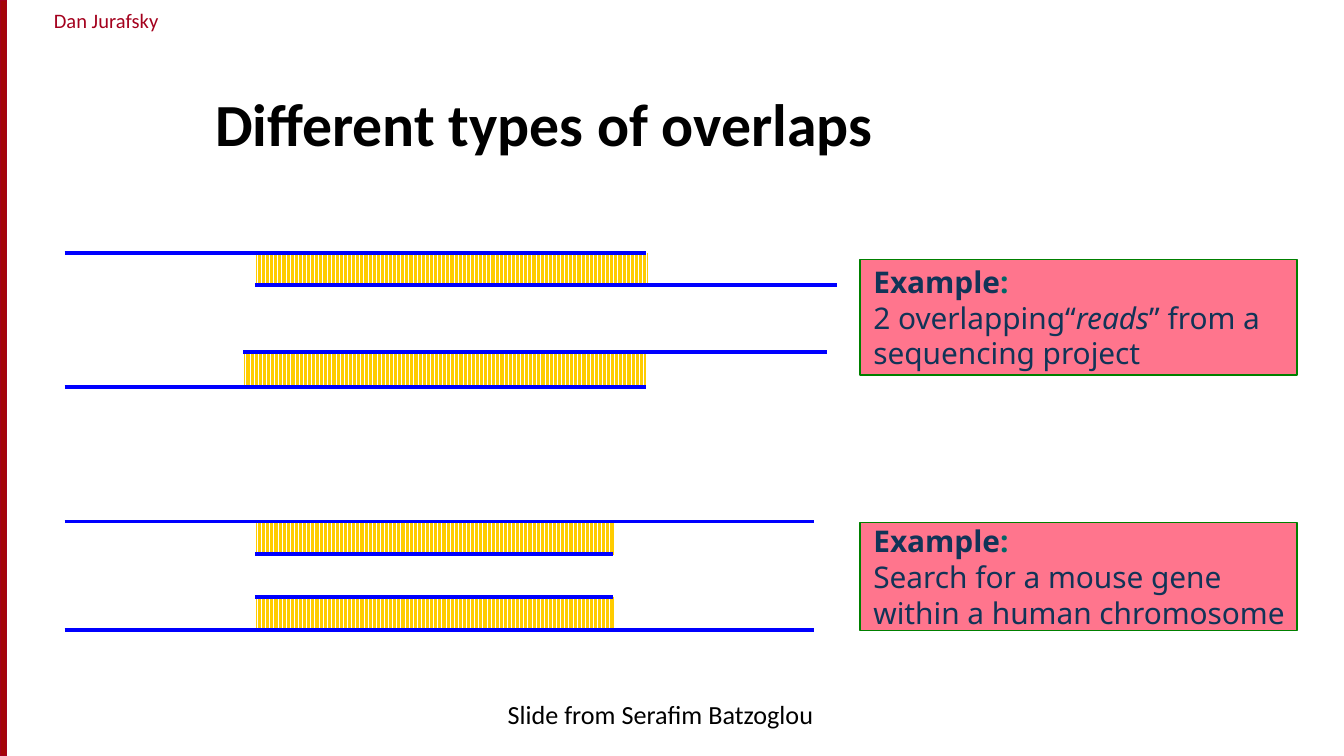
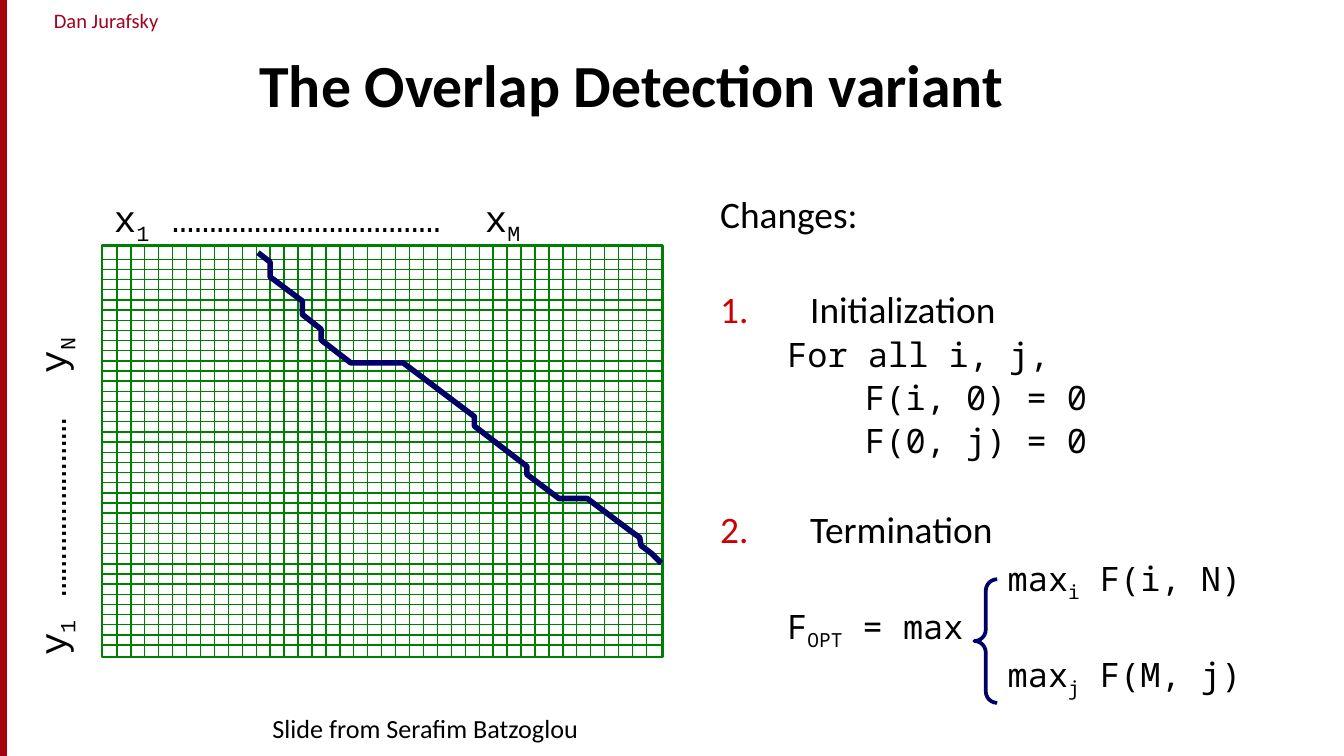
from dataclasses import dataclass
from typing import NamedTuple, Optional

from pptx import Presentation
from pptx import util as u
from pptx.dml.color import RGBColor
from pptx.enum import dml, shapes, text
from pptx.oxml.ns import qn
from lxml import etree

BLACK = RGBColor(0x00, 0x00, 0x00)
WHITE = RGBColor(0xFF, 0xFF, 0xFF)
CARDINAL = RGBColor(0xA4, 0x00, 0x1D)
BAND_RED = RGBColor(0xA4, 0x05, 0x08)
NUMBER_RED = RGBColor(0xCC, 0x00, 0x00)
GOLD = RGBColor(0xFF, 0xCC, 0x00)
BLUE = RGBColor(0x00, 0x00, 0xFF)
NAVY = RGBColor(0x00, 0x00, 0x66)
GREEN = RGBColor(0x00, 0x80, 0x00)
PINK = RGBColor(0xFF, 0x75, 0x8D)
INK = RGBColor(0x11, 0x34, 0x57)
TEAL = RGBColor(0x00, 0x66, 0x66)

SANS = "Calibri"
MONO = "Noto Sans Mono"
NOTE = "Noto Sans"
COURIER = "Courier New"

SLIDE_WIDTH = u.Inches(10)
SLIDE_HEIGHT = SLIDE_WIDTH * 9 // 16


class Box(NamedTuple):
    left: float
    top: float
    width: float
    height: float

    def lengths(self) -> list:
        return [u.Inches(value) for value in self]


class Run(NamedTuple):
    words: str
    color: RGBColor = BLACK
    bold: bool = False
    italic: bool = False
    subscript: bool = False


class Strand(NamedTuple):
    start: float
    end: float
    y: float


class Overlap(NamedTuple):
    hatch: Box
    upper: Strand
    lower: Strand


class Example(NamedTuple):
    box: Box
    lines: list


class AxisLabel(NamedTuple):
    box: Box
    letter: str
    dots: str
    last: str
    tab: float
    rotation: int


@dataclass
class Line:
    runs: list
    margin: float = 1.08
    indent: float = 0
    before: float = 3.6
    font: str = MONO
    size: int = 18
    number: Optional[int] = None


def sub(words: str) -> Run:
    return Run(words, subscript=True)


OVERLAPS = [
    Overlap(Box(1.9, 1.88, 2.92, 0.25), Strand(0.48, 4.81, 1.88), Strand(1.9, 6.23, 2.12)),
    Overlap(Box(1.81, 2.62, 3, 0.25), Strand(1.81, 6.15, 2.62), Strand(0.48, 4.81, 2.88)),
    Overlap(Box(1.9, 3.88, 2.67, 0.25), Strand(0.48, 6.06, 3.88), Strand(1.9, 4.56, 4.12)),
    Overlap(Box(1.9, 4.44, 2.67, 0.25), Strand(1.9, 4.56, 4.44), Strand(0.48, 6.06, 4.69)),
]

EXAMPLES = [
    Example(Box(6.4, 1.93, 3.25, 0.86), [
        [Run("2 overlapping“", INK), Run("reads", INK, italic=True), Run("” from a", INK)],
        [Run("sequencing project", INK)],
    ]),
    Example(Box(6.4, 3.89, 3.25, 0.8), [
        [Run("Search for a mouse gene", INK)],
        [Run("within a human chromosome", INK)],
    ]),
]

CHANGES = [
    Line([Run("Changes:")], 0.67, -0.67, 0, SANS, 20),
    Line([Run("Initialization")], 0.67, -0.67, 29.5, SANS, 20, 1),
    Line([Run("For all i, j,")], indent=-0.58),
    Line([Run("F(i, 0) = 0")]),
    Line([Run("F(0, j) = 0")]),
    Line([Run("Termination")], 0.67, -0.67, 27, SANS, 20, 2),
    Line([Run("max"), sub("i"), Run(" F(i, N)")], 2.14),
    Line([Run("F"), sub("OPT"), Run(" = max")], indent=-0.58),
    Line([Run("max"), sub("j"), Run(" F(M, j)")], 2.14),
]

AXIS_LABELS = [
    AxisLabel(Box(0.75, 1.4, 4.34, 0.44), "x", "………………………………", "M", 2.76, 0),
    AxisLabel(Box(-1.22, 3.15, 3.21, 0.44), "y", "……………………", "N", 2.1, 270),
]

GRID = Box(0.76, 1.83, 4.17, 3.06)
GRID_LINES = 39
FIRST_ROW, LAST_ROW = 1.93, 4.8
FIRST_COLUMN, LAST_COLUMN = 0.87, 4.81

ALIGNMENT_PATH = [
    (4.92, 4.19), (4.85, 4.12), (4.77, 4.06), (4.76, 4), (4.69, 3.95),
    (4.37, 3.71), (4.16, 3.71), (3.92, 3.53), (3.92, 3.47), (3.53, 3.17),
    (3.53, 3.1), (3, 2.7), (2.61, 2.7), (2.39, 2.53), (2.39, 2.45),
    (2.25, 2.34), (2.25, 2.24), (2.01, 2.06), (2.01, 1.95), (1.92, 1.88),
]


def add_runs(paragraph, runs: list, font: str, size: float) -> None:
    for item in runs:
        run = paragraph.add_run()
        run.text = item.words
        run.font.name = font
        run.font.size = u.Pt(size)
        run.font.bold = item.bold
        run.font.italic = item.italic
        run.font.color.rgb = item.color
        if item.subscript:
            run.font._element.set("baseline", "-25000")


def add_text(slide, box: Box, runs: list, font: str, size: float,
             align=text.PP_ALIGN.LEFT):
    shape = slide.shapes.add_textbox(*box.lengths())
    shape.text_frame.word_wrap = True
    paragraph = shape.text_frame.paragraphs[0]
    paragraph.alignment = align
    add_runs(paragraph, runs, font, size)
    return shape


def style_outline(shape, color: RGBColor, width: float) -> None:
    shape.line.color.rgb = color
    shape.line.width = u.Pt(width)


def add_shape(slide, box: Box, kind=shapes.MSO_SHAPE.RECTANGLE,
              fill: Optional[RGBColor] = None,
              outline: Optional[RGBColor] = None, width: float = 0.75):
    shape = slide.shapes.add_shape(kind, *box.lengths())
    shape.shadow.inherit = False
    if fill is None:
        shape.fill.background()
    else:
        shape.fill.solid()
        shape.fill.fore_color.rgb = fill
    if outline is None:
        shape.line.fill.background()
    else:
        style_outline(shape, outline, width)
    return shape


def add_line(slide, x1: float, y1: float, x2: float, y2: float,
             color: RGBColor, width: float) -> None:
    ends = [u.Inches(value) for value in (x1, y1, x2, y2)]
    connector = slide.shapes.add_connector(shapes.MSO_CONNECTOR.STRAIGHT, *ends)
    style_outline(connector, color, width)
    etree.SubElement(connector._element.spPr, qn("a:effectLst"))


def add_base_slide(presentation, title: str, title_box: Box, credit_box: Box):
    slide = presentation.slides.add_slide(presentation.slide_layouts[5])
    author = add_text(slide, Box(0.08, 0.01, 1.42, 0.29),
                      [Run("Dan Jurafsky", CARDINAL)], SANS, 11, text.PP_ALIGN.CENTER)
    author.text_frame.margin_left = author.text_frame.margin_right = 0
    band = add_shape(slide, Box(0, 0, 0.05, 0), fill=BAND_RED, outline=CARDINAL)
    band.height = SLIDE_HEIGHT

    placeholder = slide.shapes.title
    placeholder.left, placeholder.top, placeholder.width, placeholder.height = title_box.lengths()
    frame = placeholder.text_frame
    frame.auto_size = text.MSO_AUTO_SIZE.NONE
    frame.vertical_anchor = text.MSO_ANCHOR.BOTTOM
    frame.paragraphs[0].alignment = text.PP_ALIGN.LEFT
    add_runs(frame.paragraphs[0], [Run(title, bold=True)], SANS, 32)

    add_text(slide, credit_box, [Run("Slide from Serafim Batzoglou")],
             SANS, 14, text.PP_ALIGN.CENTER)
    return slide


def add_overlap(slide, overlap: Overlap) -> None:
    hatch = add_shape(slide, overlap.hatch)
    hatch.fill.patterned()
    hatch.fill.pattern = dml.MSO_PATTERN.DARK_VERTICAL
    hatch.fill.fore_color.rgb = GOLD
    hatch.fill.back_color.rgb = WHITE
    for strand in (overlap.upper, overlap.lower):
        add_line(slide, strand.start, strand.y, strand.end, strand.y, BLUE, 2)


def add_example(slide, example: Example) -> None:
    frame = add_shape(slide, example.box, fill=PINK, outline=GREEN).text_frame
    frame.word_wrap = False
    frame.vertical_anchor = text.MSO_ANCHOR.MIDDLE
    heading = [Run("Example", INK, bold=True), Run(":", TEAL, bold=True)]
    for index, runs in enumerate([heading, *example.lines]):
        paragraph = frame.add_paragraph() if index else frame.paragraphs[0]
        paragraph.alignment = text.PP_ALIGN.LEFT
        add_runs(paragraph, runs, NOTE, 16)


def add_changes(slide, box: Box) -> None:
    frame = slide.shapes.add_textbox(*box.lengths()).text_frame
    frame.word_wrap = True
    for index, line in enumerate(CHANGES):
        paragraph = frame.add_paragraph() if index else frame.paragraphs[0]
        paragraph.line_spacing = 0.9
        paragraph.space_before = u.Pt(line.before)
        properties = paragraph._p.get_or_add_pPr()
        properties.set("marL", str(u.Inches(line.margin)))
        properties.set("indent", str(u.Inches(line.indent)))
        if line.number:
            color = etree.SubElement(properties, qn("a:buClr"))
            etree.SubElement(color, qn("a:srgbClr"), val=str(NUMBER_RED))
            etree.SubElement(properties, qn("a:buAutoNum"),
                             type="arabicPeriod", startAt=str(line.number))
        add_runs(paragraph, line.runs, line.font, line.size)


def add_axis_label(slide, label: AxisLabel) -> None:
    runs = [Run(label.letter), sub("1"), Run(f" {label.dots}\t{label.letter}"), sub(label.last)]
    shape = add_text(slide, label.box, runs, COURIER, 20)
    shape.rotation = label.rotation
    properties = shape.text_frame.paragraphs[0]._p.get_or_add_pPr()
    tabs = etree.SubElement(properties, qn("a:tabLst"))
    etree.SubElement(tabs, qn("a:tab"), pos=str(u.Inches(label.tab)), algn="l")


def add_grid(slide) -> None:
    add_shape(slide, GRID, outline=GREEN, width=1.5)
    right, bottom = GRID.left + GRID.width, GRID.top + GRID.height
    for index in range(GRID_LINES):
        share = index / (GRID_LINES - 1)
        y = FIRST_ROW + share * (LAST_ROW - FIRST_ROW)
        x = FIRST_COLUMN + share * (LAST_COLUMN - FIRST_COLUMN)
        add_line(slide, GRID.left, y, right, y, GREEN, 0.75)
        add_line(slide, x, bottom, x, GRID.top, GREEN, 0.75)


def add_alignment_path(slide) -> None:
    points = [(u.Inches(x), u.Inches(y)) for x, y in ALIGNMENT_PATH]
    builder = slide.shapes.build_freeform(*points[0])
    builder.add_line_segments(points[1:], close=False)
    shape = builder.convert_to_shape()
    shape.shadow.inherit = False
    shape.fill.background()
    style_outline(shape, NAVY, 3)


def build_overlap_types(presentation) -> None:
    slide = add_base_slide(presentation, "Different types of overlaps",
                           Box(1.5, 0.42, 8.17, 0.81), Box(3.33, 5.15, 3.17, 0.38))
    for overlap in OVERLAPS:
        add_overlap(slide, overlap)
    for example in EXAMPLES:
        add_example(slide, example)


def build_detection_variant(presentation) -> None:
    slide = add_base_slide(presentation, "The Overlap Detection variant",
                           Box(1.83, 0, 8.5, 0.94), Box(1.58, 5.25, 3.17, 0.38))
    add_changes(slide, Box(5.26, 1.41, 4.4, 4.03))
    add_grid(slide)
    add_alignment_path(slide)
    for label in AXIS_LABELS:
        add_axis_label(slide, label)
    brace = add_shape(slide, Box(7.25, 4.31, 0.17, 0.92), shapes.MSO_SHAPE.LEFT_BRACE,
                      outline=NAVY, width=2)
    brace.adjustments[0] = 0.5


def main() -> None:
    presentation = Presentation()
    presentation.slide_width = SLIDE_WIDTH
    presentation.slide_height = SLIDE_HEIGHT
    build_overlap_types(presentation)
    build_detection_variant(presentation)
    presentation.save("out.pptx")


if __name__ == "__main__":
    main()
